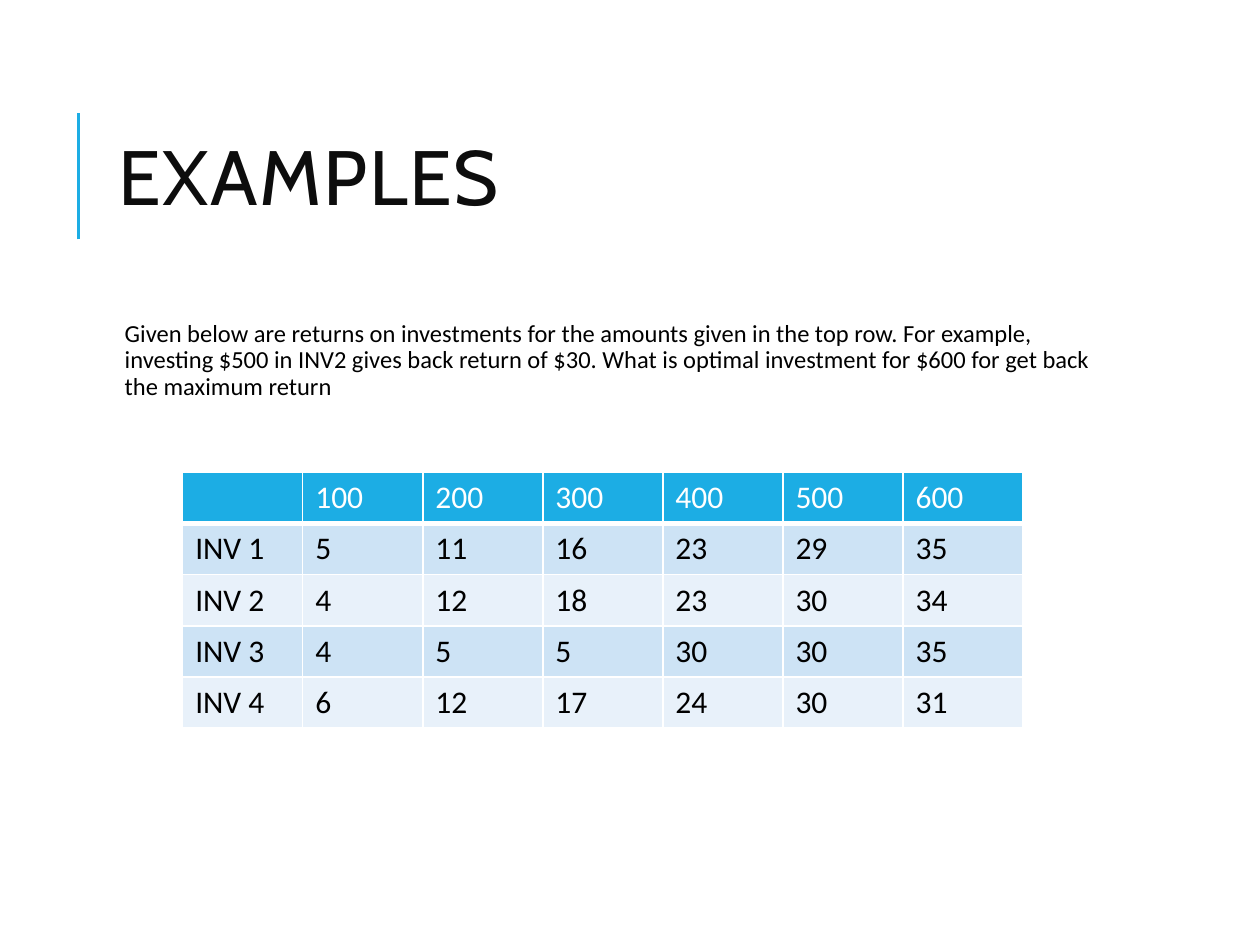
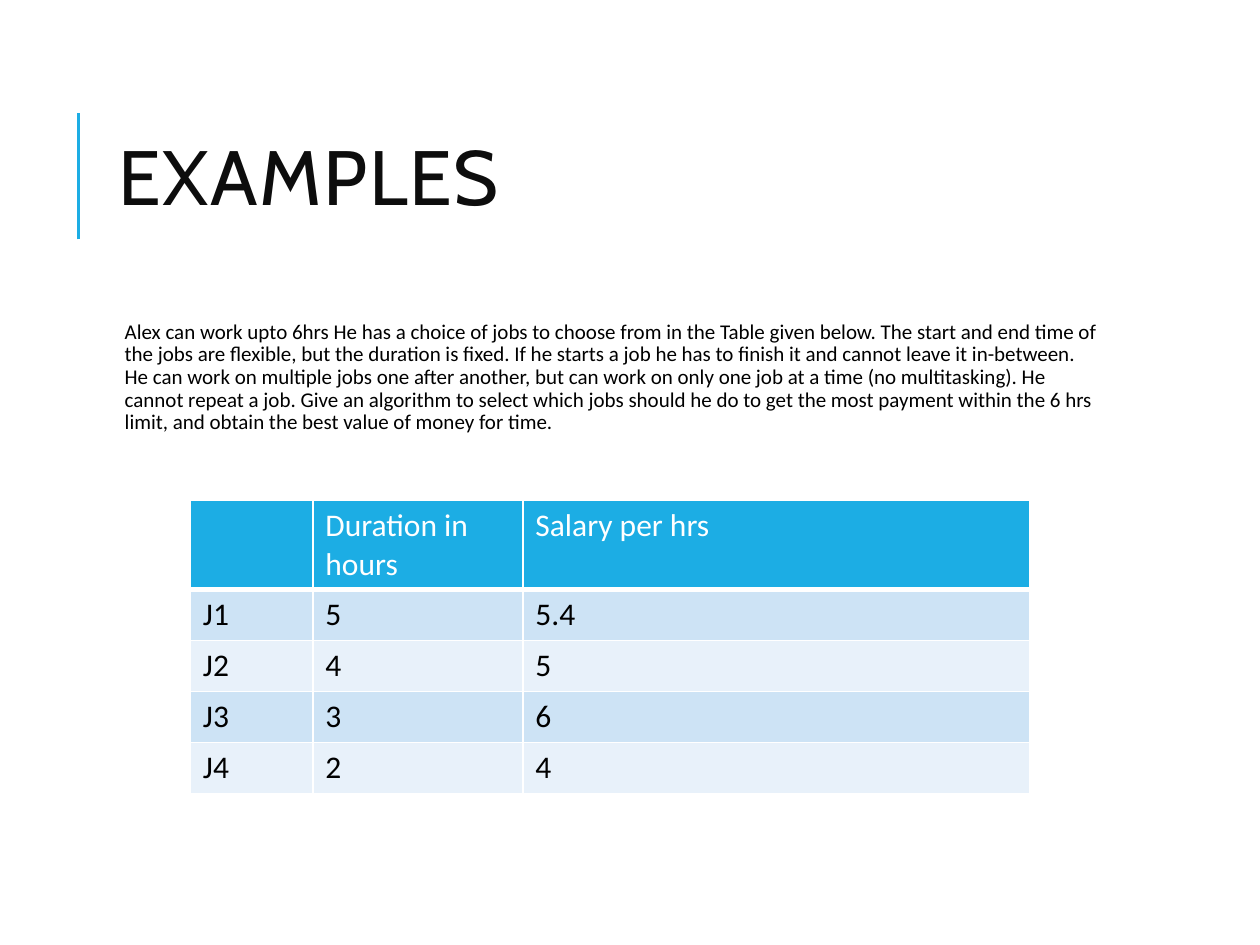
from lxml.etree import SubElement
from pptx import Presentation
from pptx.dml.color import RGBColor
from pptx.enum.shapes import MSO_CONNECTOR as Connector
from pptx.enum.text import MSO_ANCHOR as Anchor
from pptx.oxml.ns import qn
from pptx.util import Pt

# Content
SLIDES = [
    {
        "title": "EXAMPLES",
        "text": "Given below are returns on investments for the amounts given in the top row. "
                "For example, investing $500 in INV2 gives back return of $30. What is optimal "
                "investment for $600 for get back the maximum return",
        "text_size": 14,
        "rows": [
            ("", "100", "200", "300", "400", "500", "600"),
            ("INV 1", "5", "11", "16", "23", "29", "35"),
            ("INV 2", "4", "12", "18", "23", "30", "34"),
            ("INV 3", "4", "5", "5", "30", "30", "35"),
            ("INV 4", "6", "12", "17", "24", "30", "31"),
        ],
        "table_at": (104.4, 270),
        "columns": [68.6] * 7,
        "header_height": 29.2,
    },
    {
        "title": "EXAMPLES",
        "text": "Alex can work upto 6hrs He has a choice of jobs to choose from in the Table given "
                "below. The start and end time of the jobs are flexible, but the duration is fixed. "
                "If he starts a job he has to finish it and cannot leave it in-between. He can work "
                "on multiple jobs one after another, but can work on only one job at a time (no "
                "multitasking). He cannot repeat a job. Give an algorithm to select which jobs "
                "should he do to get the most payment within the 6 hrs limit, and obtain the best "
                "value of money for time.",
        "text_size": 12,
        "rows": [
            ("", "Duration in hours", "Salary per hrs"),
            ("J1", "5", "5.4"),
            ("J2", "4", "5"),
            ("J3", "3", "6"),
            ("J4", "2", "4"),
        ],
        "table_at": (108.8, 286),
        "columns": [70, 120, 289.8],
        "header_height": 50.8,
    },
]

# Shared style
COLORS = {"accent": "1CADE4", "title": "0D0D0D", "text": "000000", "white": "FFFFFF",
          "odd_row": "CDE3F5", "even_row": "E8F1FA"}
TITLE_FONT, BODY_FONT = "Cabin", "Calibri"
LEFT, WIDTH = 60.5, 573.8
ROW_HEIGHT = 29.2


def color(name):
    return RGBColor.from_string(COLORS[name])


def add_run(paragraph, text, size, font, color_name):
    run = paragraph.add_run()
    run.text = text
    run.font.size, run.font.name = Pt(size), font
    run.font.color.rgb = color(color_name)
    return run


def add_text_frame(slide, top, height):
    box = slide.shapes.add_textbox(Pt(LEFT), Pt(top), Pt(WIDTH), Pt(height))
    box.text_frame.word_wrap = True
    return box.text_frame


def add_title(slide, text):
    # Accent line beside the title
    line = slide.shapes.add_connector(Connector.STRAIGHT, Pt(45), Pt(136.8), Pt(45), Pt(64.8))
    line.line.color.rgb = color("accent")
    line.line.width = Pt(1.5)
    SubElement(line._element.spPr, qn("a:effectLst"))

    frame = add_text_frame(slide, 46, 118)
    frame.vertical_anchor = Anchor.MIDDLE
    paragraph = frame.paragraphs[0]
    paragraph.line_spacing = 0.8
    run = add_run(paragraph, text, 44, TITLE_FONT, "title")
    run.font._element.set("spc", "100")


def add_body(slide, text, size):
    frame = add_text_frame(slide, 180, 316.8)
    frame.margin_left = frame.margin_top = frame.margin_right = frame.margin_bottom = Pt(3.6)
    paragraph = frame.paragraphs[0]
    paragraph.line_spacing = 0.9
    paragraph.space_before, paragraph.space_after = Pt(12), Pt(2)
    # Hanging indent with a blank bullet
    properties = paragraph._element.get_or_add_pPr()
    properties.set("marL", str(Pt(7.2)))
    properties.set("indent", str(-Pt(7.2)))
    bullet_color = SubElement(properties, qn("a:buClr"))
    SubElement(bullet_color, qn("a:srgbClr"), val=COLORS["accent"])
    SubElement(properties, qn("a:buChar"), char=" ")
    add_run(paragraph, text, size, BODY_FONT, "text")


def style_cell(cell, fill, bottom_width):
    # Borders come before the fill in the cell properties
    properties = cell._tc.get_or_add_tcPr()
    for side, width in (("L", 1), ("R", 1), ("T", 1), ("B", bottom_width)):
        border = SubElement(properties, qn(f"a:ln{side}"), w=str(Pt(width)))
        border_fill = SubElement(border, qn("a:solidFill"))
        SubElement(border_fill, qn("a:srgbClr"), val=COLORS["white"])
    cell.fill.solid()
    cell.fill.fore_color.rgb = color(fill)


def add_data_table(slide, rows, position, columns, header_height):
    heights = [header_height] + [ROW_HEIGHT] * (len(rows) - 1)
    left, top = position
    table = slide.shapes.add_table(len(rows), len(columns), Pt(left), Pt(top),
                                   Pt(sum(columns)), Pt(sum(heights))).table
    for column, width in zip(table.columns, columns):
        column.width = Pt(width)
    for index, (values, height) in enumerate(zip(rows, heights)):
        table.rows[index].height = Pt(height)
        is_header = index == 0
        fill = "accent" if is_header else "odd_row" if index % 2 else "even_row"
        for cell, value in zip(table.rows[index].cells, values):
            style_cell(cell, fill, 3 if is_header else 1)
            if value:
                add_run(cell.text_frame.paragraphs[0], value, 18, BODY_FONT,
                        "white" if is_header else "text")


def main():
    presentation = Presentation()
    presentation.slide_width, presentation.slide_height = Pt(720), Pt(540)
    for content in SLIDES:
        slide = presentation.slides.add_slide(presentation.slide_layouts[6])
        add_title(slide, content["title"])
        add_body(slide, content["text"], content["text_size"])
        add_data_table(slide, content["rows"], content["table_at"], content["columns"],
                       content["header_height"])
    presentation.save("out.pptx")


if __name__ == "__main__":
    main()
